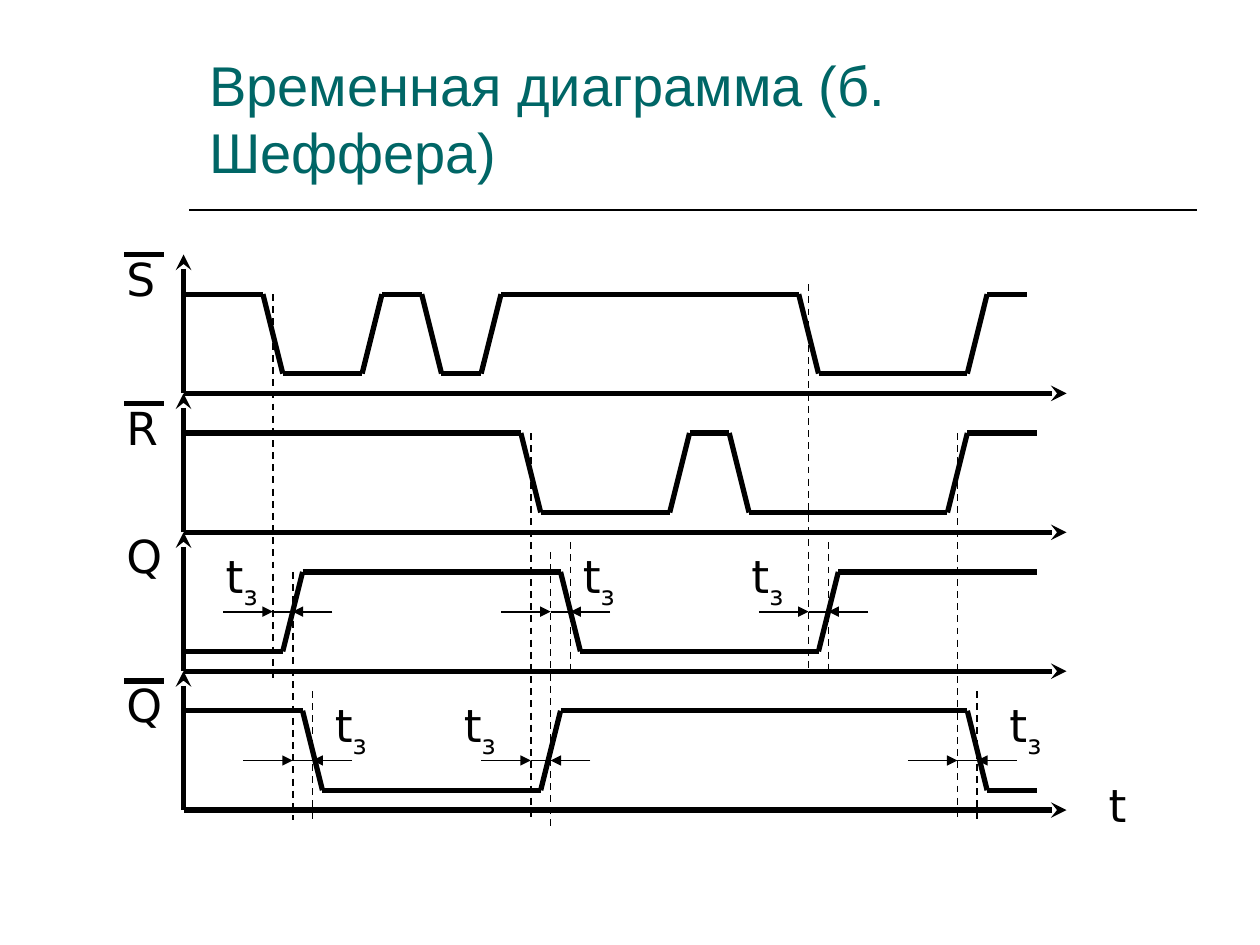
from dataclasses import dataclass
from itertools import pairwise

from lxml.etree import SubElement as Sub
from pptx import Presentation
from pptx.dml.color import RGBColor as Color
from pptx.enum.dml import MSO_LINE as Dash
from pptx.enum.shapes import MSO_CONNECTOR as Link
from pptx.enum.text import MSO_ANCHOR as Anchor, MSO_AUTO_SIZE as Fit, PP_ALIGN as Align
from pptx.oxml.ns import qn
from pptx.util import Cm, Pt


@dataclass
class Theme:
    head: Color = Color(0x00, 0x66, 0x66)
    ink: Color = Color(0, 0, 0)
    head_font: str = "Arial"
    font: str = "DejaVu Sans"
    head_size: Pt = Pt(32)
    size: Pt = Pt(26)
    thick: Pt = Pt(3)
    thin: Pt = Pt(1)


theme = Theme()
deck = Presentation()
deck.slide_width, deck.slide_height = Cm(25.4), Cm(19.05)
slide = deck.slides.add_slide(deck.slide_layouts[5])


def draw(start, end, width, tip=None, dash=None):
    line = slide.shapes.add_connector(Link.STRAIGHT, *map(Cm, start + end))
    line.line.color.rgb = theme.ink
    line.line.width = width
    if dash:
        line.line.dash_style = dash
    if tip:
        Sub(line.line._get_or_add_ln(), qn("a:tailEnd"), type=tip)
    Sub(line._element.spPr, qn("a:effectLst"))


def label(text, left, top, height, sub=""):
    box = slide.shapes.add_textbox(Cm(left), Cm(top), Cm(1.8), Cm(height))
    frame = box.text_frame
    frame.word_wrap = True
    frame.auto_size = Fit.SHAPE_TO_FIT_TEXT
    para = frame.paragraphs[0]
    para.text = text
    if sub:
        para.add_run().text = sub
        para.runs[1].font._element.set("baseline", "-25000")
    for run in para.runs:
        run.font.name = theme.font
        run.font.size = theme.size
        run.font.color.rgb = theme.ink


title = slide.shapes.title
title.left, title.top, title.width, title.height = Cm(3.96), Cm(0.99), Cm(20.02), Cm(2.87)
frame = title.text_frame
frame.text = "Временная диаграмма (б. Шеффера)"
frame.word_wrap = True
frame.auto_size = Fit.NONE
frame.vertical_anchor = Anchor.BOTTOM
frame.paragraphs[0].alignment = Align.LEFT
font = frame.paragraphs[0].runs[0].font
font.name, font.size = theme.head_font, theme.head_size
font.color.rgb = theme.head
draw((3.81, 4.24), (24.13, 4.24), theme.thin)

left, right, first, pitch = 3.7, 21.5, 7.93, 2.8
high, low, slope = 2.0, 0.4, 0.4

# Each signal: name, label top, bar height, starting level, edge starts, end
signals = [
    ("S", 4.93, 5.13, high, (5.3, 7.3, 8.5, 9.7, 16.1, 19.5), 20.7),
    ("R", 7.93, 8.13, high, (10.5, 13.5, 14.7, 19.1), 20.9),
    ("Q", 10.53, None, low, (5.7, 11.3, 16.5), 20.9),
    ("Q", 13.53, 13.73, high, (6.1, 10.9, 19.5), 20.9),
]
for row, (name, top, bar, level, edges, end) in enumerate(signals):
    base = first + row * pitch
    draw((left, base), (left, base - pitch), theme.thick, "stealth")
    draw((left, base), (right, base), theme.thick, "stealth")
    label(name, 2.3, top, 1.37)
    if bar:
        draw((2.5, bar), (3.3, bar), theme.thick)
    points = [(left, base - level)]
    for edge in edges:
        points.append((edge, base - level))
        level = high + low - level
        points.append((edge + slope, base - level))
    points.append((end, base - level))
    for start, stop in pairwise(points):
        draw(start, stop, theme.thick)
label("t", 22.1, 15.53, 1.37)

guides = [
    (5.5, 5.93, 13.73), (5.9, 11.53, 16.53), (6.3, 13.93, 16.53),
    (10.7, 8.73, 16.53), (11.1, 11.13, 16.73), (11.5, 10.93, 13.53),
    (16.3, 5.73, 13.53), (16.7, 10.93, 13.53),
    (19.3, 8.73, 16.53), (19.7, 13.93, 16.53),
]
for x, top, foot in guides:
    draw((x, top), (x, foot), theme.thin, dash=Dash.DASH)

delays = [
    (5.5, 12.33, 4.3), (11.1, 12.33, 11.5), (16.3, 12.33, 14.9),
    (5.9, 15.33, 6.5), (10.7, 15.33, 9.1), (19.3, 15.33, 20.1),
]
for x, y, side in delays:
    stop = x + slope
    draw((x - 1, y), (x, y), theme.thin, "triangle")
    draw((x, y), (stop, y), theme.thin)
    draw((stop + 0.8, y), (stop, y), theme.thin, "triangle")
    label("t", side, y - 1.4, 1.52, "з")

deck.save("out.pptx")
